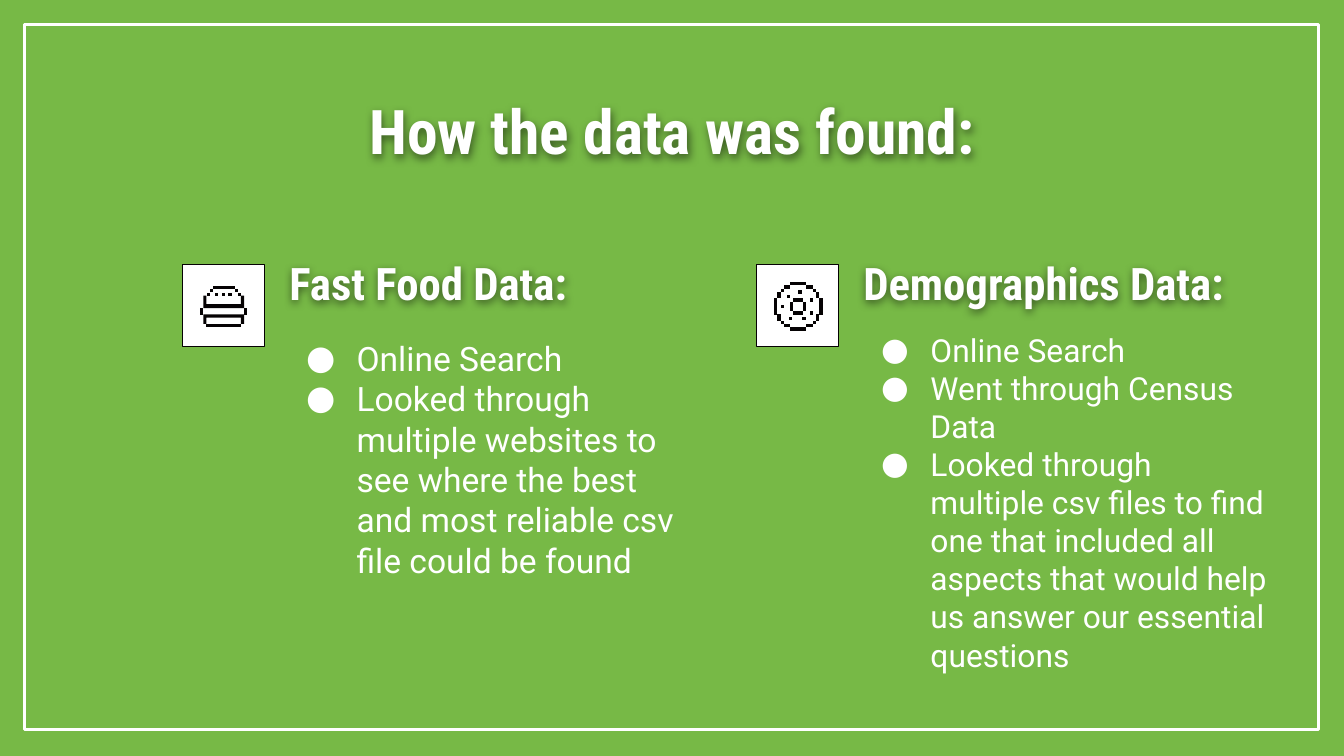
import pptx
import pptx.util
import pptx.dml.color
import pptx.enum.shapes
import pptx.enum.text
import pptx.oxml
import pptx.oxml.ns
import lxml.etree

Pt = pptx.util.Pt
RGB = pptx.dml.color.RGBColor
MSO = pptx.enum.text.MSO_ANCHOR
ALIGN = pptx.enum.text.PP_ALIGN

GREEN = RGB(0x77, 0xB9, 0x46)
WHITE = RGB(0xFF, 0xFF, 0xFF)
INK = RGB(0x05, 0x02, 0x03)

UNIT = pptx.util.Inches(0.1)
CELLS = 15
TITLE = {"name": "Roboto Condensed", "size": Pt(33), "bold": True}
HEAD = {**TITLE, "size": Pt(24)}
BODY = {"name": "Roboto", "bold": False}

SHADE = (
    '<a:effectLst %s><a:outerShdw blurRad="57150" dist="19050" dir="5400000" '
    'algn="bl" rotWithShape="0"><a:srgbClr val="000000"><a:alpha val="50000"/>'
    "</a:srgbClr></a:outerShdw></a:effectLst>" % pptx.oxml.ns.nsdecls("a")
)


def grid(*box):
    """Turn grid columns and rows into lengths."""
    return [round(n * UNIT) for n in box]


def style(font, form):
    """Set font values from a dict, in white."""
    for key, val in form.items():
        setattr(font, key, val)
    font.color.rgb = WHITE


def frame(slide, box, fill, line, width):
    """Draw a plain rectangle with an outline."""
    rect = slide.shapes.add_shape(pptx.enum.shapes.MSO_SHAPE.RECTANGLE, *grid(*box))
    rect.shadow.inherit = False
    if fill is None:
        rect.fill.background()
    else:
        rect.fill.solid()
        rect.fill.fore_color.rgb = fill
    rect.line.color.rgb = line
    rect.line.width = Pt(width)


def text(slide, box, anchor):
    """Add a wrapping text box and return it."""
    shape = slide.shapes.add_textbox(*grid(*box))
    form = {"word_wrap": True, "vertical_anchor": anchor}
    sides = ("left", "top", "right", "bottom")
    form.update({"margin_" + side: UNIT for side in sides})
    for key, val in form.items():
        setattr(shape.text_frame, key, val)
    return shape


def head(slide, box, words, form, anchor, align):
    """Write a heading with a soft text shadow."""
    shape = text(slide, box, anchor)
    shape._element.spPr.append(pptx.oxml.parse_xml(SHADE))
    para = shape.text_frame.paragraphs[0]
    para.alignment = align
    run = para.add_run()
    run.text = words
    style(run.font, form)


def points(slide, box, lines, size):
    """Write a bulleted list."""
    body = text(slide, box, MSO.TOP).text_frame
    for row, words in enumerate(lines):
        para = body.add_paragraph() if row else body.paragraphs[0]
        props = para._p.get_or_add_pPr()
        props.set("marL", str(5 * UNIT))
        props.set("indent", str(-round(2.5 * UNIT + Pt(size) / 2)))
        tint = lxml.etree.SubElement(props, pptx.oxml.ns.qn("a:buClr"))
        lxml.etree.SubElement(tint, pptx.oxml.ns.qn("a:srgbClr"), val=str(WHITE))
        lxml.etree.SubElement(props, pptx.oxml.ns.qn("a:buFont"), typeface=BODY["name"])
        lxml.etree.SubElement(props, pptx.oxml.ns.qn("a:buChar"), char="●")
        run = para.add_run()
        run.text = words
        style(run.font, {**BODY, "size": Pt(size)})


def bar(x, y, w=1, h=1):
    """List the corners of a block of cells."""
    return [(x, y), (x, y + h), (x + w, y + h), (x + w, y)]


def turn(block):
    """Give a block in all four quarter turns."""
    x, y, w, h = block
    for _ in range(4):
        yield bar(x, y, w, h)
        x, y, w, h = CELLS - y - h, x, h, w


def donut():
    """List the outlines of the donut."""
    ring = [(5, 0, 5, 1), (3, 1, 2, 1), (10, 1, 2, 1), (2, 2, 1, 1), (6, 5, 3, 1)]
    dots = [(4, 4), (11, 5), (4.6, 10.8), (2, 7), (7.5, 2.5), (8.75, 10.8), (11, 9)]
    return [part for block in ring for part in turn(block)] + [bar(*dot) for dot in dots]


def burger():
    """List the outlines of the burger."""
    bars = [(4, 0, 7, 1), (2, 12, 11, 1), (0, 7, 1, 2), (14, 7, 1, 2)]
    dots = [(3, 1), (11, 1), (2, 2), (12, 2), (4.7, 2), (7, 2.1), (9, 2)]
    bun = [(1, 3), (1, 7), (14, 7), (14, 3), (13, 3), (13, 5.7), (2, 5.7), (2, 3)]
    base = [(1, 9), (1, 12), (2, 12), (2, 10), (13, 10), (13, 12), (14, 12), (14, 9)]
    return [bar(*block) for block in bars + dots] + [bun, base]


def icon(slide, box, parts):
    """Draw cell outlines inside a square box."""
    left, top, side = grid(*box)
    step = side / CELLS
    for part in parts:
        spots = [(round(left + x * step), round(top + y * step)) for x, y in part]
        pen = slide.shapes.build_freeform(*spots[0])
        pen.add_line_segments(spots[1:], close=True)
        shape = pen.convert_to_shape()
        shape.shadow.inherit = False
        shape.fill.solid()
        shape.fill.fore_color.rgb = INK
        shape.line.fill.background()


def panel(slide, box, data):
    """Place a framed icon, a heading and a list."""
    left, top, wide, high = box
    frame(slide, (left, top, 6.1, 6.1), WHITE, INK, 0.75)
    dx, dy, size = data["spot"]
    icon(slide, (left + dx, top + dy, size), data["parts"])
    side = left + 6.95
    span = wide - 6.95
    head(slide, (side, top - 0.5, span, 4.8), data["head"], HEAD, MSO.BOTTOM, ALIGN.LEFT)
    drop = data["drop"]
    points(slide, (side, top + drop, span, high - drop), data["lines"], data["size"])


def main():
    """Build and save the slide."""
    deck = pptx.Presentation()
    deck.slide_width, deck.slide_height = grid(100, 56.25)
    slide = deck.slides.add_slide(deck.slide_layouts[6])
    back = slide.background.fill
    back.solid()
    back.fore_color.rgb = GREEN
    frame(slide, (1.8, 1.8, 96.3, 52.5), None, WHITE, 1.5)
    head(slide, (7.8, 5.9, 84.4, 6.3), "How the data was found:", TITLE, MSO.TOP, ALIGN.CENTER)
    first = "Online Search"
    food = {
        "head": "Fast Food Data:", "parts": burger(), "spot": (1.3, 1.6, 3.5),
        "size": 18, "drop": 4.45,
        "lines": [
            first,
            "Looked through multiple websites to see where the best "
            "and most reliable csv file could be found",
        ],
    }
    people = {
        "head": "Demographics Data:", "parts": donut(), "spot": (1.3, 1.3, 3.6),
        "size": 17, "drop": 3.9,
        "lines": [
            first,
            "Went through Census Data",
            "Looked through multiple csv files to find one that included all "
            "aspects that would help us answer our essential questions",
        ],
    }
    panel(slide, (13.6, 19.7, 38.25, 33.1), food)
    panel(slide, (56.3, 19.7, 39.35, 34.9), people)
    deck.save("out.pptx")


if __name__ == "__main__":
    main()
